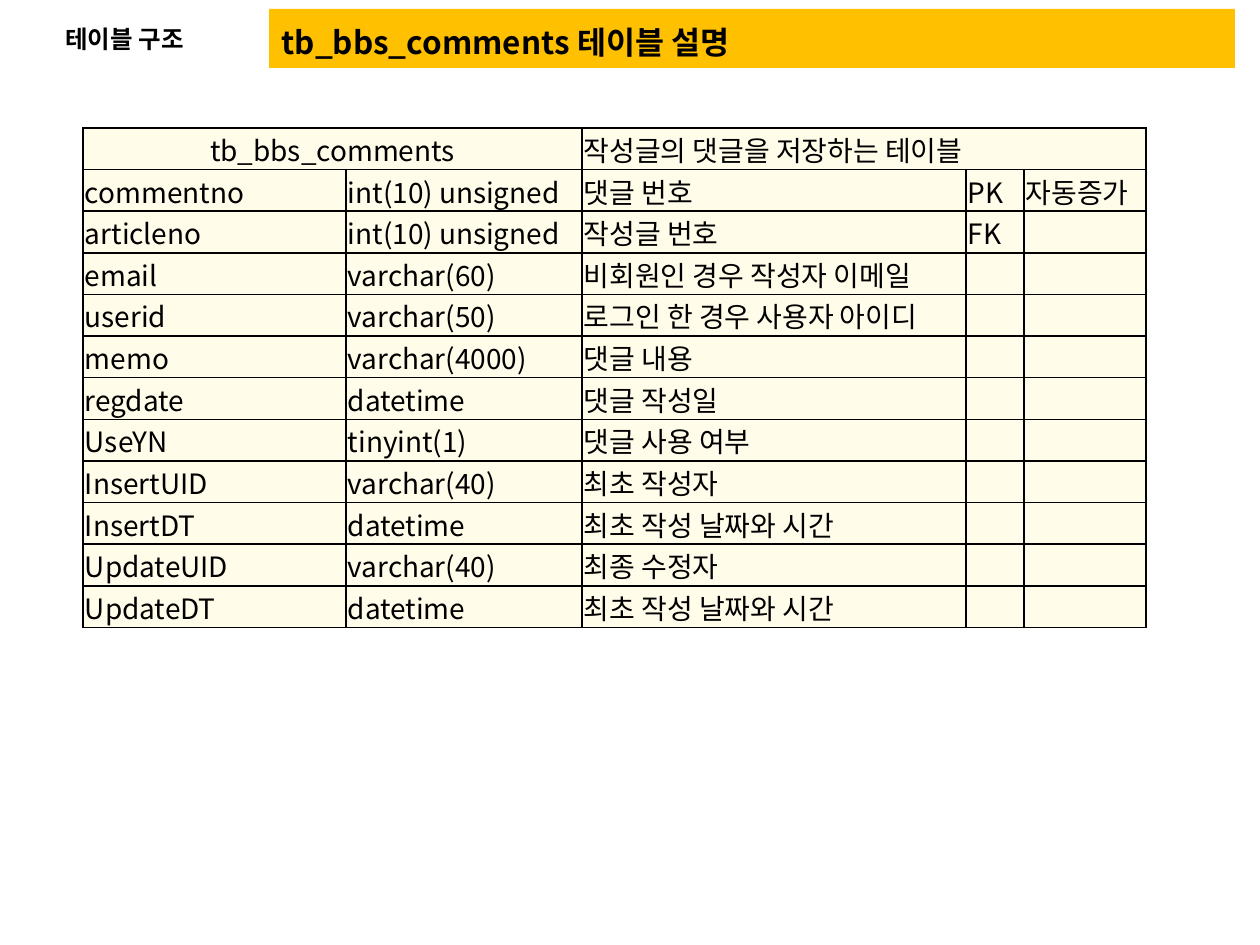
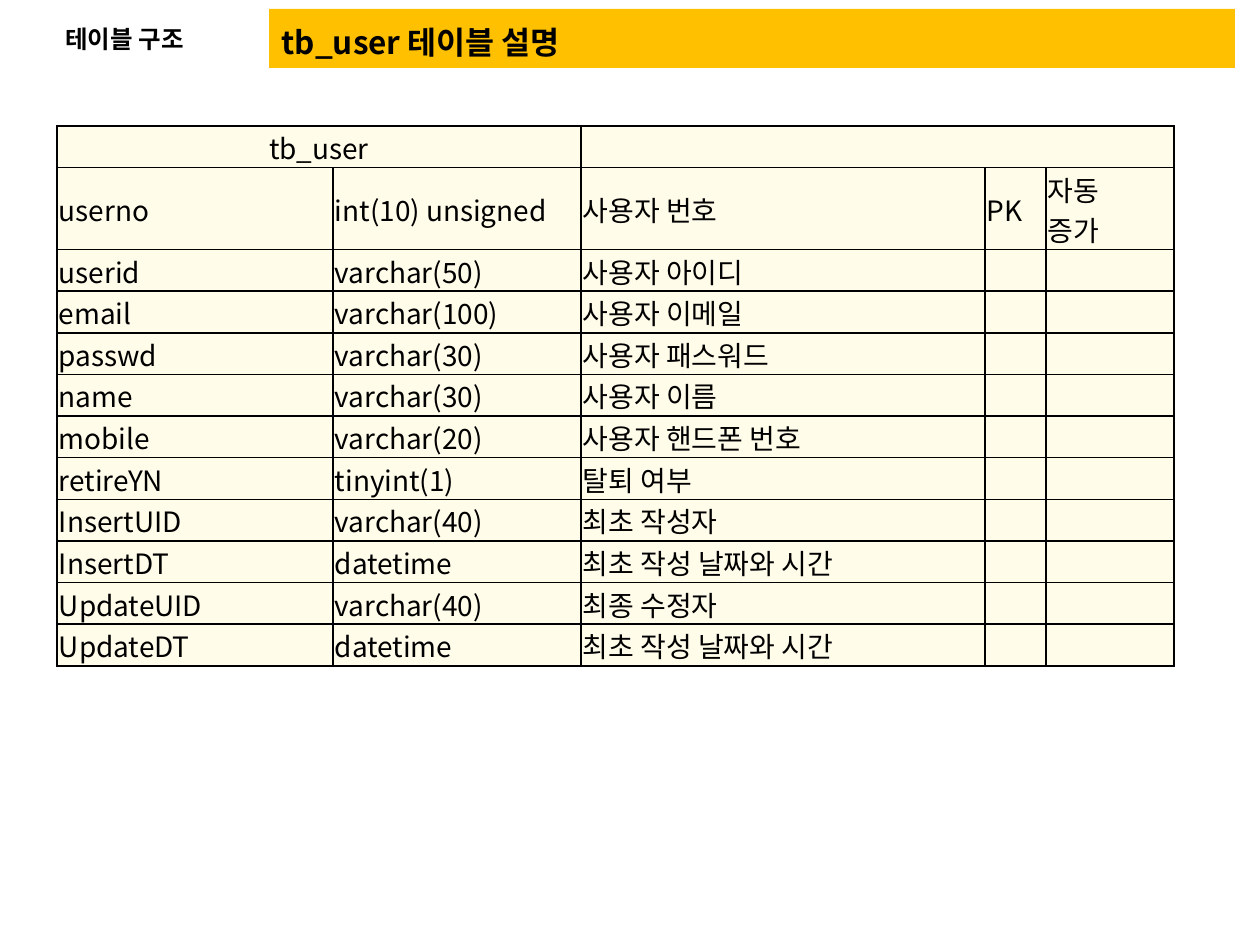
from lxml import etree
from pptx import Presentation
from pptx import util as u
from pptx.dml.color import RGBColor
from pptx.enum import shapes, text
from pptx.oxml.ns import qn

EMU_PER_PX = 914400 // 126
FONT = "Noto Sans CJK KR"
COLORS = {"ink": "000000", "band": "FFC000", "cell": "FFFCEA"}
SECTION = "테이블 구조"
TWELVE_ROWS = 500  # height of twelve one-line rows

# Columns that every database table ends with
AUDIT_ROWS = [
    ("InsertUID", "varchar(40)", "최초 작성자"),
    ("InsertDT", "datetime", "최초 작성 날짜와 시간"),
    ("UpdateUID", "varchar(40)", "최종 수정자"),
    ("UpdateDT", "datetime", "최초 작성 날짜와 시간"),
]

COMMENT_ROWS = [
    ("commentno", "int(10) unsigned", "댓글 번호", "PK", "자동증가"),
    ("articleno", "int(10) unsigned", "작성글 번호", "FK"),
    ("email", "varchar(60)", "비회원인 경우 작성자 이메일"),
    ("userid", "varchar(50)", "로그인 한 경우 사용자 아이디"),
    ("memo", "varchar(4000)", "댓글 내용"),
    ("regdate", "datetime", "댓글 작성일"),
    ("UseYN", "tinyint(1)", "댓글 사용 여부"),
]

USER_ROWS = [
    ("userno", "int(10) unsigned", "사용자 번호", "PK", "자동 증가\u3000"),
    ("userid", "varchar(50)", "사용자 아이디"),
    ("email", "varchar(100)", "사용자 이메일"),
    ("passwd", "varchar(30)", "사용자 패스워드"),
    ("name", "varchar(30)", "사용자 이름"),
    ("mobile", "varchar(20)", "사용자 핸드폰 번호"),
    ("retireYN", "tinyint(1)", "탈퇴 여부"),
]


def px(length):
    """Turn whole pixels into EMU."""
    return u.Emu(length * EMU_PER_PX)


def color(name):
    """Look up a colour of the deck."""
    return RGBColor.from_string(COLORS[name])


def write(frame, words, size=16, bold=False, align=None):
    """Put one formatted, unkerned line of words into a text frame."""
    line = frame.paragraphs[0]
    line.alignment = align
    run = line.add_run()
    run.text = words
    run.font.size = u.Pt(size)
    run.font.bold = bold
    run.font.name = FONT
    run.font.color.rgb = color("ink")
    properties = run._r.get_or_add_rPr()
    properties.set("kern", "0")
    etree.SubElement(properties, qn("a:ea"), typeface=FONT)


def outline(cell):
    """Draw a one-point line on the four sides of a cell."""
    properties = cell._tc.get_or_add_tcPr()
    for place, side in enumerate(("lnL", "lnR", "lnT", "lnB")):
        line = etree.Element(qn(f"a:{side}"), w=str(u.Pt(1)))
        fill = etree.SubElement(line, qn("a:solidFill"))
        etree.SubElement(fill, qn("a:srgbClr"), val=COLORS["ink"])
        properties.insert(place, line)


class Deck:
    """Holds the presentation, its style and the current slide."""

    def __init__(self):
        self.show = Presentation()
        self.show.slide_width = u.Inches(10)
        self.show.slide_height = u.Inches(7.5)
        self.slide = None

    def page(self, heading):
        """Start a slide with its band, heading and section label."""
        self.slide = self.show.slides.add_slide(self.show.slide_layouts[5])
        self.band(269, 9, 966, 59)
        self.title(heading, 269, 10, 966, 57)
        self.label(SECTION, 53, 10, 203, 57)

    def band(self, left, top, width, height):
        """Add the coloured band behind everything else."""
        band = self.slide.shapes.add_shape(
            shapes.MSO_SHAPE.RECTANGLE, px(left), px(top), px(width), px(height))
        band.shadow.inherit = False
        band.fill.solid()
        band.fill.fore_color.rgb = color("band")
        band.line.fill.background()
        self.slide.shapes._spTree.insert(2, band._element)

    def title(self, words, left, top, width, height):
        """Place and fill the title placeholder."""
        title = self.slide.shapes.title
        title.left, title.top = px(left), px(top)
        title.width, title.height = px(width), px(height)
        frame = title.text_frame
        frame.auto_size = text.MSO_AUTO_SIZE.NONE
        frame.vertical_anchor = text.MSO_ANCHOR.BOTTOM
        write(frame, words, size=18, bold=True, align=text.PP_ALIGN.JUSTIFY)

    def label(self, words, left, top, width, height):
        """Add the section label beside the band."""
        frame = self.slide.shapes.add_textbox(
            px(left), px(top), px(width), px(height)).text_frame
        frame.word_wrap = True
        frame.vertical_anchor = text.MSO_ANCHOR.MIDDLE
        write(frame, words, size=14, bold=True)

    def cell(self, cell, words, align=None):
        """Fill, outline and write one table cell."""
        cell.margin_left = cell.margin_right = px(2)
        cell.margin_top = px(1)
        cell.margin_bottom = 0
        cell.vertical_anchor = text.MSO_ANCHOR.MIDDLE
        cell.fill.solid()
        cell.fill.fore_color.rgb = color("cell")
        outline(cell)
        if words:
            write(cell.text_frame, words, align=align)

    def schema(self, name, purpose, fields, left, top, widths, tall_rows=()):
        """Add a schema table: a merged heading row, then one row per field."""
        rows = [(name, "", purpose), *fields, *AUDIT_ROWS]
        table = self.slide.shapes.add_table(
            len(rows), len(widths), px(left), px(top),
            px(sum(widths)), px(TWELVE_ROWS)).table
        table.first_row = table.horz_banding = False
        for column, width in zip(table.columns, widths):
            column.width = px(width)
        for r, row in enumerate(rows):
            table.rows[r].height = px(82) if r in tall_rows else px(TWELVE_ROWS) // 12
            for c in range(len(widths)):
                centred = text.PP_ALIGN.CENTER if r == c == 0 else None
                words = row[c] if c < len(row) else ""
                self.cell(table.cell(r, c), words, centred)
        table.cell(0, 0).merge(table.cell(0, 1))
        table.cell(0, 2).merge(table.cell(0, 4))


deck = Deck()

deck.page("tb_bbs_comments 테이블 설명")
deck.schema("tb_bbs_comments", "작성글의 댓글을 저장하는 테이블", COMMENT_ROWS,
            83, 128, (263, 236, 384, 58, 122))

deck.page("tb_user 테이블 설명")
deck.schema("tb_user", "", USER_ROWS, 57, 126, (276, 248, 404, 61, 128),
            tall_rows=(1,))

deck.show.save("out.pptx")
